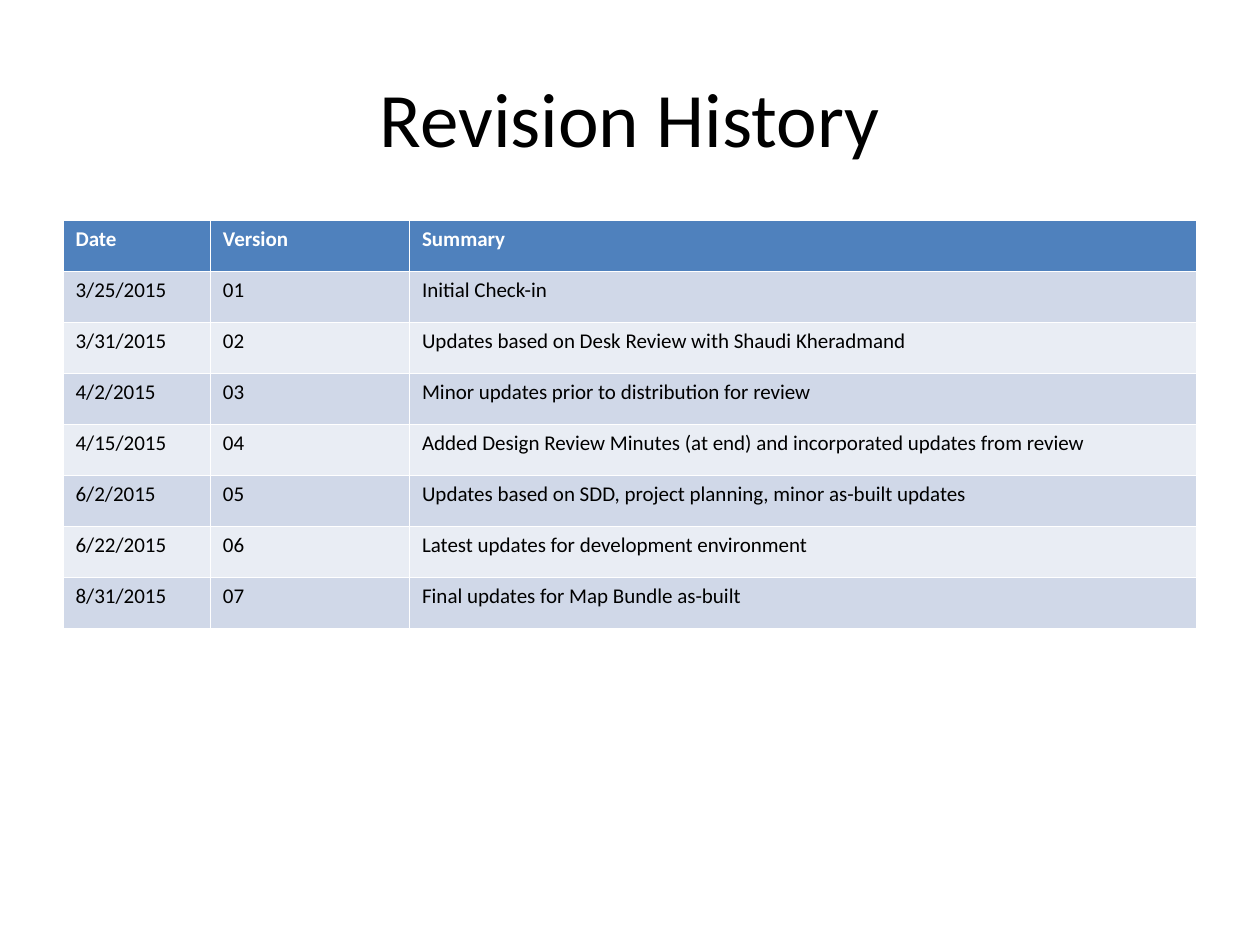
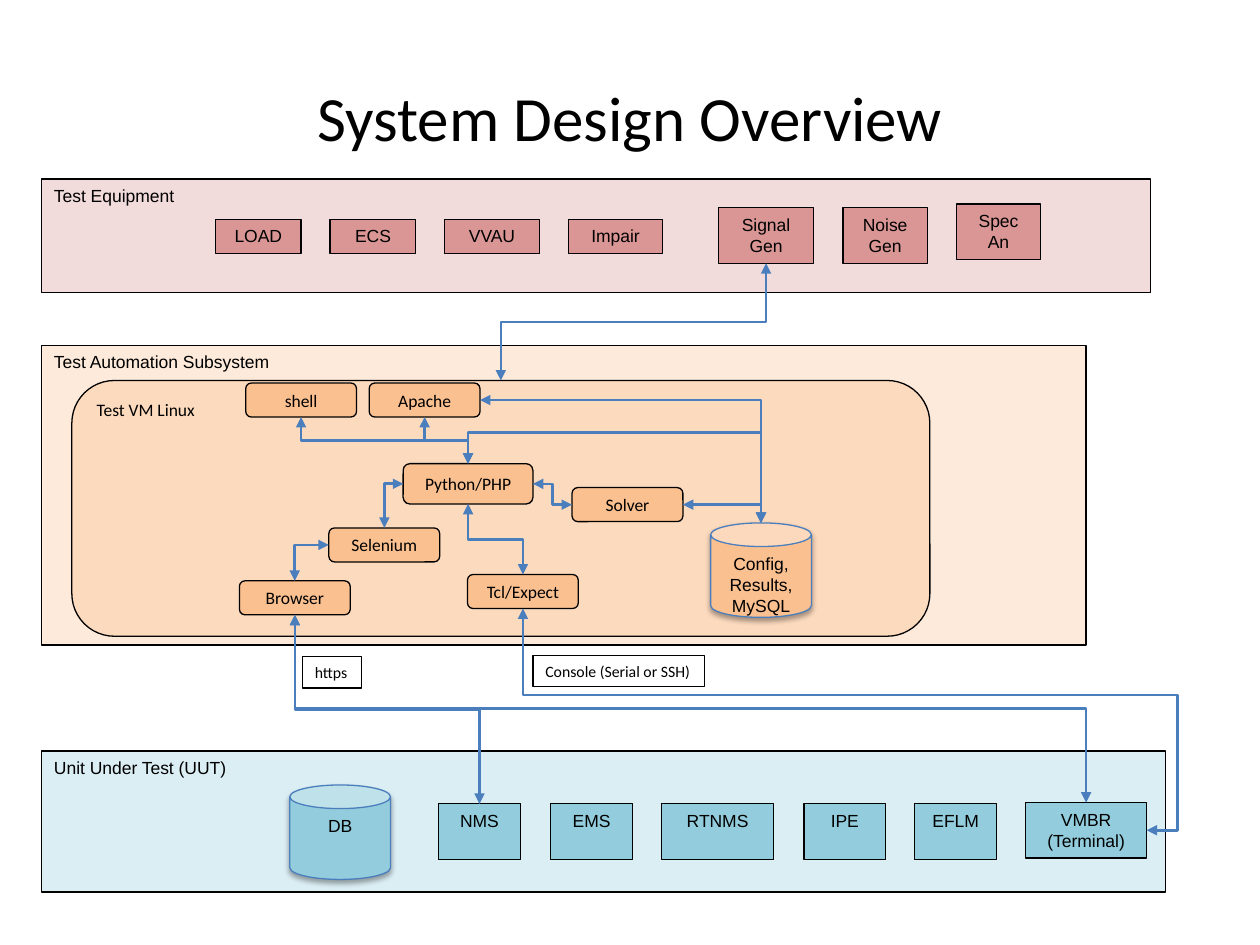
from lxml import etree
from pptx import Presentation
from pptx.dml.color import RGBColor
from pptx.enum import shapes, text
from pptx.oxml.ns import qn
from pptx.util import Pt

PX = 9144  # 100 px to the inch

BLACK = RGBColor(0x00, 0x00, 0x00)
WHITE = RGBColor(0xFF, 0xFF, 0xFF)
HEADER_BLUE = RGBColor(0x4F, 0x81, 0xBD)
BAND_DARK = RGBColor(0xD0, 0xD8, 0xE8)
BAND_LIGHT = RGBColor(0xE9, 0xED, 0xF4)
LINK_BLUE = RGBColor(0x4B, 0x7E, 0xBC)
PALE_ORANGE = RGBColor(0xFD, 0xEA, 0xDA)
SOFT_ORANGE = RGBColor(0xFC, 0xD5, 0xB5)
ORANGE = RGBColor(0xFA, 0xC0, 0x90)
PALE_RED = RGBColor(0xF2, 0xDC, 0xDB)
RED = RGBColor(0xD9, 0x96, 0x94)
PALE_TEAL = RGBColor(0xDB, 0xEE, 0xF4)
TEAL = RGBColor(0x93, 0xCD, 0xDD)

LEFT, CENTER = text.PP_ALIGN.LEFT, text.PP_ALIGN.CENTER
TOP, MIDDLE = text.MSO_ANCHOR.TOP, text.MSO_ANCHOR.MIDDLE
RECT = shapes.MSO_SHAPE.RECTANGLE
ROUND = shapes.MSO_SHAPE.ROUNDED_RECTANGLE
CAN = shapes.MSO_SHAPE.CAN

presentation = Presentation()
presentation.slide_width, presentation.slide_height = 1000 * PX, 750 * PX


def write(frame, words, size, font="Calibri", color=BLACK, bold=False, align=LEFT):
    frame.text = words
    for paragraph in frame.paragraphs:
        paragraph.alignment = align
        for name, value in {"size": Pt(size), "name": font, "bold": bold}.items():
            setattr(paragraph.font, name, value)
        paragraph.font.color.rgb = color


def add_titled_slide(words, size):
    slide = presentation.slides.add_slide(presentation.slide_layouts[5])
    title = slide.shapes.title
    place = {"left": 50, "top": 30, "width": 900, "height": 125}
    for name, value in place.items():
        setattr(title, name, value * PX)
    write(title.text_frame, words, size, align=CENTER)
    title.text_frame.vertical_anchor = MIDDLE
    return slide


# Revision history
slide = add_titled_slide("Revision History", 44)
revisions = [
    ("Date", "Version", "Summary"),
    ("3/25/2015", "01", "Initial Check-in"),
    ("3/31/2015", "02", "Updates based on Desk Review with Shaudi Kheradmand"),
    ("4/2/2015", "03", "Minor updates prior to distribution for review"),
    ("4/15/2015", "04",
     "Added Design Review Minutes (at end) and incorporated updates from review"),
    ("6/2/2015", "05", "Updates based on SDD, project planning, minor as-built updates"),
    ("6/22/2015", "06", "Latest updates for development environment"),
    ("8/31/2015", "07", "Final updates for Map Bundle as-built"),
]
table = slide.shapes.add_table(
    len(revisions), 3, 50 * PX, 175 * PX, 900 * PX, 324 * PX).table
for column, width in zip(table.columns, (117, 158, 625)):
    column.width = width * PX
for row_number, row in enumerate(revisions):
    is_header = row_number == 0
    band = BAND_DARK if row_number % 2 else BAND_LIGHT
    for column_number, words in enumerate(row):
        cell = table.cell(row_number, column_number)
        cell.fill.solid()
        cell.fill.fore_color.rgb = HEADER_BLUE if is_header else band
        write(cell.text_frame, words, 12, color=WHITE if is_header else BLACK,
              bold=is_header)

# System design overview
slide = add_titled_slide("System Design Overview", 36)

zone = {"kind": RECT, "align": LEFT, "wrap": False}
device = {"kind": RECT, "align": CENTER}
database = {"kind": CAN, "align": CENTER, "line": LINK_BLUE}
program = {"kind": ROUND, "align": CENTER, "fill": ORANGE, "font": "Calibri",
           "anchor": MIDDLE}
label = {"kind": RECT, "align": LEFT, "wrap": False, "font": "Calibri", "size": 9}
machine = {"kind": ROUND, "align": LEFT, "fill": SOFT_ORANGE, "font": "Calibri",
           "opacity": 75}

groups = [
    (zone | {"fill": PALE_ORANGE}, [("Test Automation Subsystem", 33, 274, 829, 238)]),
    (zone | {"fill": PALE_RED}, [("Test Equipment", 33, 142, 880, 90)]),
    (zone | {"fill": PALE_TEAL}, [("Unit Under Test (UUT)", 33, 596, 892, 112)]),
    (machine, [("Test VM Linux", 57, 302, 681, 203)]),
    (database | {"fill": TEAL}, [("DB", 230, 623, 80, 75)]),
    (database | {"fill": ORANGE}, [("Config,\nResults, MySQL", 564, 415, 80, 75)]),
    (device | {"fill": TEAL}, [
        ("NMS", 348, 638, 65, 44),
        ("EMS", 437, 638, 65, 44),
        ("RTNMS", 525, 638, 89, 44),
        ("IPE", 638, 638, 65, 44),
        ("EFLM", 726, 638, 65, 44),
        ("VMBR\n(Terminal)", 814, 637, 96, 44),
    ]),
    (device | {"fill": RED}, [
        ("LOAD", 171, 174, 68, 27),
        ("ECS", 262, 174, 68, 27),
        ("VVAU", 353, 174, 75, 27),
        ("Impair", 451, 174, 75, 27),
        ("Signal Gen", 570, 165, 76, 44),
        ("Noise Gen", 669, 165, 67, 44),
        ("Spec An", 759, 162, 67, 44),
    ]),
    (program, [
        ("shell", 195, 304, 88, 27),
        ("Apache", 293, 304, 88, 27),
        ("Python/PHP", 320, 368, 103, 32),
        ("Solver", 454, 387, 88, 27),
        ("Selenium", 261, 419, 88, 27),
        ("Browser", 190, 461, 88, 27),
        ("Tcl/Expect", 371, 456, 88, 27),
    ]),
    (label, [
        ("https", 240, 521, 47, 25),
        ("Console (Serial or SSH)", 423, 520, 136, 25),
    ]),
]

boxes = {}
for style, members in groups:
    for words, *place in members:
        shape = slide.shapes.add_shape(style["kind"], *(value * PX for value in place))
        boxes[words.split("\n")[0]] = shape
        properties = shape._element.spPr
        if "fill" in style:
            shape.fill.solid()
            shape.fill.fore_color.rgb = style["fill"]
        else:
            shape.fill.background()
        if "opacity" in style:
            fill_color = properties.find(qn("a:solidFill")).find(qn("a:srgbClr"))
            etree.SubElement(fill_color, qn("a:alpha"), val=str(style["opacity"] * 1000))
        shape.line.color.rgb = style.get("line", BLACK)
        shape.line.width = Pt(0.75)
        shape.shadow.inherit = False
        if style["kind"] == CAN:
            shadow = etree.SubElement(
                properties.find(qn("a:effectLst")), qn("a:outerShdw"),
                blurRad=str(Pt(3.1)), dist=str(Pt(1.8)), dir="5400000", rotWithShape="0")
            shadow_color = etree.SubElement(shadow, qn("a:srgbClr"), val="000000")
            etree.SubElement(shadow_color, qn("a:alpha"), val="35000")
        frame = shape.text_frame
        write(frame, words, style.get("size", 10), style.get("font", "Arial"),
              align=style["align"])
        frame.word_wrap = style.get("wrap", True)
        frame.vertical_anchor = style.get("anchor", TOP)

# Each side: share of width, share of height, site on a box, site on a can
sides = {
    "top": (0.5, 0, 0, 1),
    "left": (0, 0.5, 1, 2),
    "bottom": (0.5, 1, 2, 3),
    "right": (1, 0.5, 3, 4),
}
# Start, its side, end, its side, then where the bends fall along the way
links = [
    ("Selenium", "left", "Browser", "top", []),
    ("Selenium", "top", "Python/PHP", "left", []),
    ("Python/PHP", "right", "Solver", "left", [0.5]),
    ("Python/PHP", "bottom", "Tcl/Expect", "top", [0.5]),
    ("Python/PHP", "top", "Apache", "bottom", [0.5]),
    ("Python/PHP", "top", "shell", "bottom", [0.5]),
    ("Python/PHP", "top", "Config,", "top", [-0.53]),
    ("Apache", "right", "Config,", "top", []),
    ("Solver", "right", "Config,", "top", []),
    ("Browser", "bottom", "NMS", "top", [0.5]),
    ("Browser", "bottom", "VMBR", "top", [0.5]),
    ("Tcl/Expect", "bottom", "VMBR", "right", [0.39, 1.05]),
    ("Signal Gen", "bottom", "Test VM Linux", "top", [0.5]),
]
for start, start_side, end, end_side, bends in links:
    points, sites = [], []
    for name, side in ((start, start_side), (end, end_side)):
        box = boxes[name]
        across, down, box_site, can_site = sides[side]
        points += [int(box.left + across * box.width), int(box.top + down * box.height)]
        sites.append(can_site if box.auto_shape_type == CAN else box_site)
    connector = slide.shapes.add_connector(shapes.MSO_CONNECTOR.ELBOW, *points)
    connector.begin_connect(boxes[start], sites[0])
    connector.end_connect(boxes[end], sites[1])

    # A link that leaves vertically is a turned frame around the same middle
    x1, y1, x2, y2 = points
    run, rise = x2 - x1, y2 - y1
    width, height = abs(run), abs(rise)
    turn, flip_h, flip_v = 0, run < 0, rise < 0
    if start_side in ("top", "bottom"):
        width, height = height, width
        if run * rise < 0:
            turn, flip_h, flip_v = 90, rise < 0, run > 0
        else:
            turn, flip_h, flip_v = 270, rise > 0, run < 0
    frame = {"left": (x1 + x2 - width) // 2, "top": (y1 + y2 - height) // 2,
             "width": width, "height": height}
    for name, value in frame.items():
        setattr(connector, name, value)
    properties = connector._element.spPr
    transform = properties.find(qn("a:xfrm"))
    for name, value in {"rot": turn * 60000, "flipH": int(flip_h),
                        "flipV": int(flip_v)}.items():
        transform.set(name, str(value))
    geometry = properties.find(qn("a:prstGeom"))
    geometry.set("prst", f"bentConnector{len(bends) + 2}")
    for number, bend in enumerate(bends, 1):
        etree.SubElement(geometry.find(qn("a:avLst")), qn("a:gd"), name=f"adj{number}",
                         fmla=f"val {round(bend * 100000)}")

    connector.line.color.rgb = LINK_BLUE
    connector.line.width = Pt(1.5)
    for arrowhead in ("a:headEnd", "a:tailEnd"):
        etree.SubElement(properties.find(qn("a:ln")), qn(arrowhead), type="triangle")
    etree.SubElement(properties, qn("a:effectLst"))

presentation.save("out.pptx")
